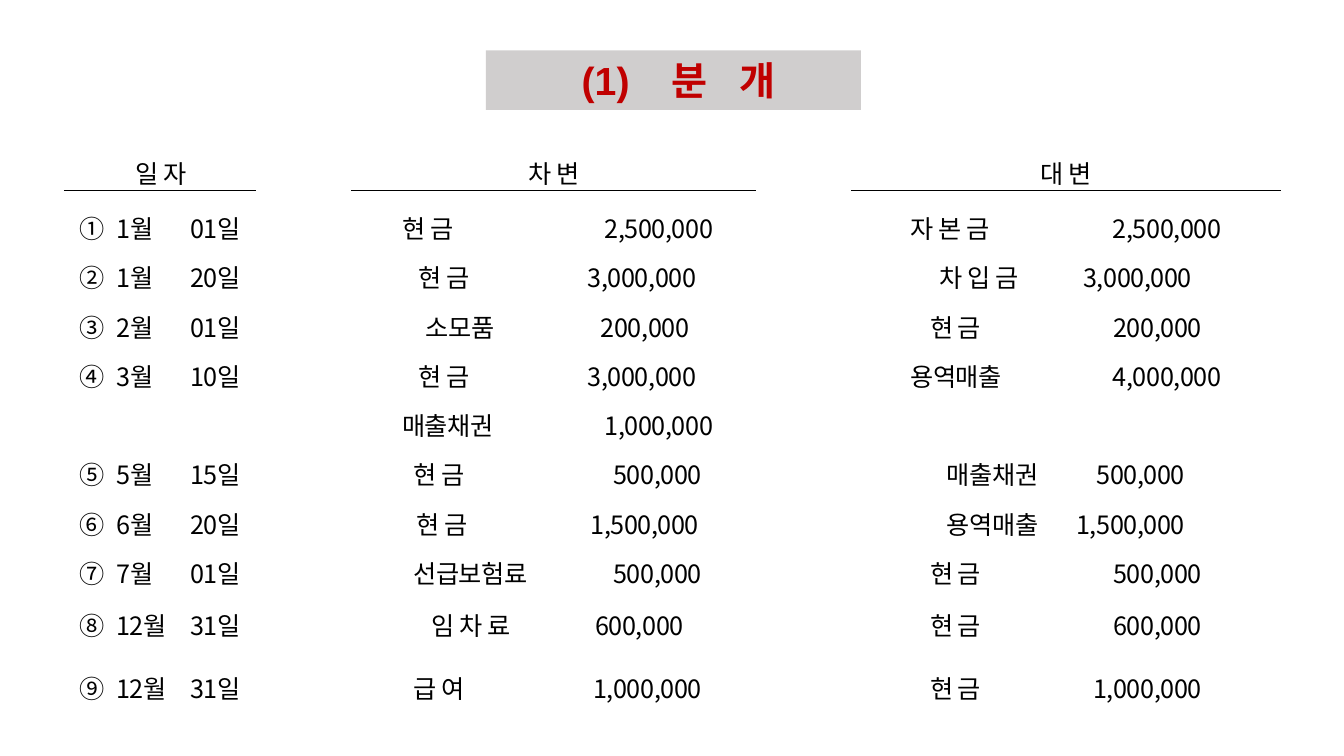
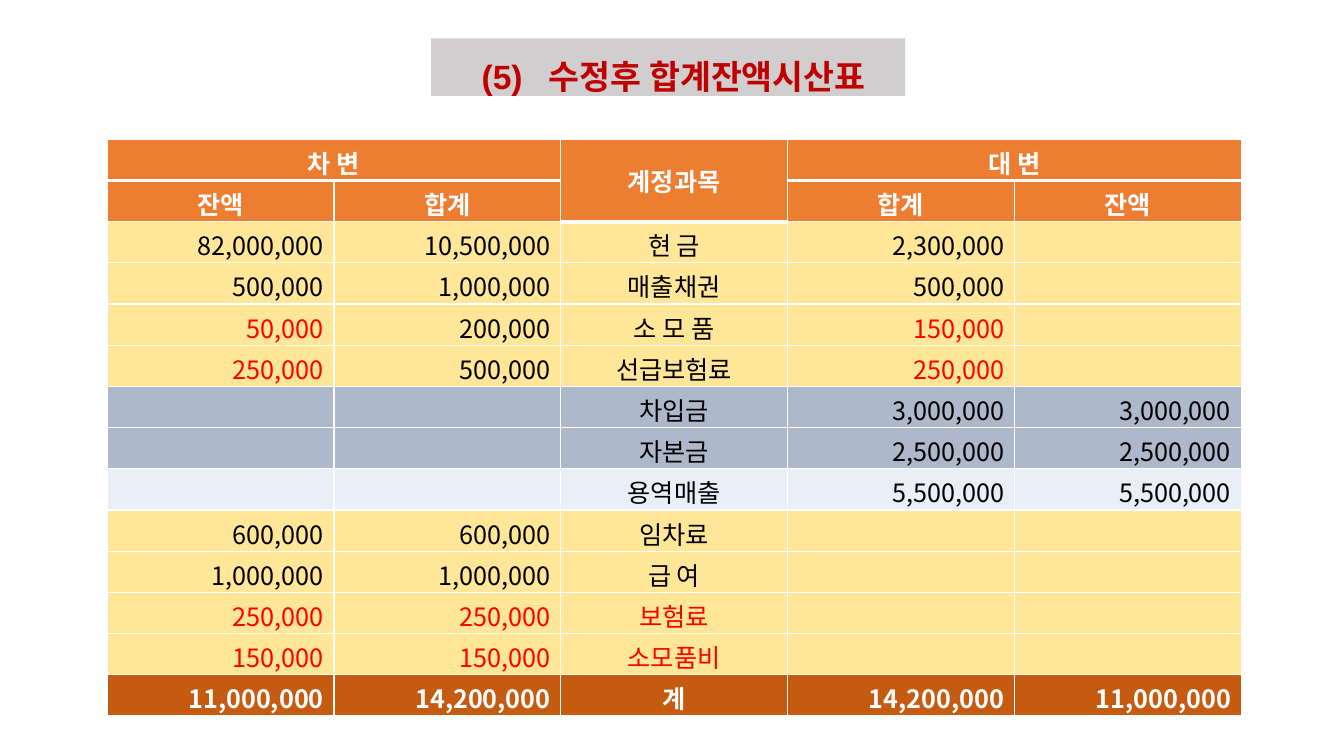
from lxml.etree import SubElement
from pptx import Presentation
from pptx.dml.color import RGBColor
from pptx.enum.text import MSO_ANCHOR, MSO_AUTO_SIZE, PP_ALIGN
from pptx.oxml import parse_xml
from pptx.oxml.ns import nsdecls, qn
from pptx.util import Pt

COLORS = {
    "title": "C00000", "band": "D0CECE", "ink": "000000", "white": "FFFFFF",
    "adjusted": "FF0000", "header": "ED7D31", "debit": "FFE699",
    "credit": "ADB9CA", "revenue": "EAEFF7", "total": "C55A11",
}
HANGUL_FONT = "Noto Sans CJK KR"
TITLE_FORMAT = {"name": "Arial", "bold": True}
HEADING_FORMAT = {"name": "Arial", "size": Pt(18), "bold": False}
ENTRY_FORMAT = {**HEADING_FORMAT, "name": HANGUL_FONT}
STRONG_FORMAT = {**ENTRY_FORMAT, "bold": True}


def write(frame, text, font_format, color, align=PP_ALIGN.LEFT, tabs=(), spacing=0):
    """Fill a text frame with one formatted paragraph; tabs are (points, kind)."""
    paragraph = frame.paragraphs[0]
    paragraph.alignment = align
    if tabs:
        tab_list = SubElement(paragraph._p.get_or_add_pPr(), qn("a:tabLst"))
        for position, kind in tabs:
            SubElement(tab_list, qn("a:tab"), pos=str(Pt(position)), algn=kind)
    run = paragraph.add_run()
    run.text = text
    for attribute, value in font_format.items():
        setattr(run.font, attribute, value)
    run.font.color.rgb = RGBColor.from_string(COLORS[color])
    properties = run._r.get_or_add_rPr()
    SubElement(properties, qn("a:ea"), typeface=HANGUL_FONT)
    if spacing:
        properties.set("spc", str(spacing))


def add_borders(cell, sides, color, widths):
    """Draw cell borders; sides must come in the order L, R, T, B."""
    properties = cell._tc.get_or_add_tcPr()
    for index, (side, width) in enumerate(zip(sides, widths)):
        properties.insert(index, parse_xml(
            f'<a:ln{side} {nsdecls("a")} w="{Pt(width)}"><a:solidFill>'
            f'<a:srgbClr val="{COLORS[color]}"/></a:solidFill></a:ln{side}>'))


prs = Presentation()
prs.slide_width, prs.slide_height = Pt(960), Pt(540)

# Titles on grey bands: text, box, text inset, tab stops, size, anchor
titles = [
    ("(1)\t분\t개", (347, 36, 268, 42.5), 68.5, (64, 113), 28, MSO_ANCHOR.MIDDLE),
    ("(5)\t수정후 합계잔액시산표", (308, 27.5, 338.5, 41), 36, (48,), 24, MSO_ANCHOR.BOTTOM),
]
slides = []
for text, box, inset, stops, size, anchor in titles:
    slide = prs.slides.add_slide(prs.slide_layouts[5])
    title = slide.shapes.title
    title.left, title.top, title.width, title.height = map(Pt, box)
    title.fill.solid()
    title.fill.fore_color.rgb = RGBColor.from_string(COLORS["band"])
    frame_format = {
        "auto_size": MSO_AUTO_SIZE.NONE, "word_wrap": True, "vertical_anchor": anchor,
        "margin_left": Pt(inset), "margin_right": 0, "margin_top": 0, "margin_bottom": 0,
    }
    for attribute, value in frame_format.items():
        setattr(title.text_frame, attribute, value)
    write(title.text_frame, text, {**TITLE_FORMAT, "size": Pt(size)}, "title",
          tabs=[(stop, "l") for stop in stops])
    slides.append(slide)
journal_slide, balance_slide = slides

# Journal: date, then (account, amount, side inset) for debit and credit
journal = [
    ("①\t1월\t01일", ("현 금", "2,500,000", 36), ("자 본 금", "2,500,000", 42)),
    ("②\t1월\t20일", ("현 금", "3,000,000", 48), ("차 입 금", "3,000,000", 63)),
    ("③\t2월\t01일", ("소모품", "200,000", 53), ("현 금", "200,000", 56)),
    ("④\t3월\t10일", ("현 금", "3,000,000", 48), ("용역매출", "4,000,000", 42)),
    (None, ("매출채권", "1,000,000", 36), None),
    ("⑤\t5월\t15일", ("현 금", "500,000", 44), ("매출채권", "500,000", 68)),
    ("⑥\t6월\t20일", ("현 금", "1,500,000", 46), ("용역매출", "1,500,000", 68)),
    ("⑦\t7월\t01일", ("선급보험료", "500,000", 44), ("현 금", "500,000", 56)),
    ("⑧\t12월\t31일", ("임 차 료", "600,000", 57), ("현 금", "600,000", 56)),
    ("⑨\t12월\t31일", ("급 여", "1,000,000", 44), ("현 금", "1,000,000", 56)),
]
journal_widths = [137.5, 67.7, 289.4, 67.7, 306]
journal_heights = [35.2, 39.6] + [35.2] * 7 + [37.2, 45]
journal_table = journal_slide.shapes.add_table(
    len(journal_heights), len(journal_widths), Pt(46.1), Pt(100.8),
    Pt(sum(journal_widths)), Pt(sum(journal_heights))).table
journal_table.first_row = journal_table.horz_banding = False
for column, width in zip(journal_table.columns, journal_widths):
    column.width = Pt(width)
for row, height in zip(journal_table.rows, journal_heights):
    row.height = Pt(height)
for cell in journal_table.iter_cells():
    cell.fill.background()
    cell.margin_top = cell.margin_bottom = 0
    cell.vertical_anchor = MSO_ANCHOR.BOTTOM

# Journal headings, each underlined
for column, heading in zip((0, 2, 4), ("일 자", "차 변", "대 변")):
    heading_cell = journal_table.cell(0, column)
    write(heading_cell.text_frame, heading, HEADING_FORMAT, "ink", PP_ALIGN.CENTER, spacing=-30)
    add_borders(heading_cell, "B", "ink", [0.28])
    add_borders(journal_table.cell(1, column), "T", "ink", [0.28])

# Journal entries: the amount ends as far from the right as the account starts
for row, (date, debit, credit) in enumerate(journal, start=1):
    if date:
        date_cell = journal_table.cell(row, 0)
        date_cell.margin_left, date_cell.margin_right = Pt(11), 0
        write(date_cell.text_frame, date, ENTRY_FORMAT, "ink",
              tabs=[(26, "l"), (115, "r")], spacing=-30)
    for column, span, entry in ((2, 294, debit), (4, 306, credit)):
        if entry:
            account, amount, inset = entry
            entry_cell = journal_table.cell(row, column)
            entry_cell.margin_left, entry_cell.margin_right = Pt(inset), 0
            write(entry_cell.text_frame, f"{account}\t{amount}", ENTRY_FORMAT, "ink",
                  tabs=[(span - 2 * inset, "r")], spacing=-30)

# Trial balance: row colour, adjusted (red) columns, cells
balance = [
    ("header", (), ("차 변", "", "계정과목", "대 변", "")),
    ("header", (), ("잔액", "합계", "", "합계", "잔액")),
    ("debit", (), ("82,000,000", "10,500,000", "현 금", "2,300,000", "")),
    ("debit", (), ("500,000", "1,000,000", "매출채권", "500,000", "")),
    ("debit", (0, 3), ("50,000", "200,000", "소 모 품", "150,000", "")),
    ("debit", (0, 3), ("250,000", "500,000", "선급보험료", "250,000", "")),
    ("credit", (), ("", "", "차입금", "3,000,000", "3,000,000")),
    ("credit", (), ("", "", "자본금", "2,500,000", "2,500,000")),
    ("revenue", (), ("", "", "용역매출", "5,500,000", "5,500,000")),
    ("debit", (), ("600,000", "600,000", "임차료", "", "")),
    ("debit", (), ("1,000,000", "1,000,000", "급 여", "", "")),
    ("debit", (0, 1, 2), ("250,000", "250,000", "보험료", "", "")),
    ("debit", (0, 1, 2), ("150,000", "150,000", "소모품비", "", "")),
    ("total", (), ("11,000,000", "14,200,000", "계", "14,200,000", "11,000,000")),
]
balance_table = balance_slide.shapes.add_table(
    len(balance), 5, Pt(76.5), Pt(99.5), Pt(810), Pt(29.45 * len(balance))).table
balance_table.horz_banding = False
for column in balance_table.columns:
    column.width = Pt(162)
for row, (band, adjusted, texts) in enumerate(balance):
    balance_table.rows[row].height = Pt(29.45)
    strong = band in ("header", "total")
    for column, text in enumerate(texts):
        cell = balance_table.cell(row, column)
        cell.fill.solid()
        cell.fill.fore_color.rgb = RGBColor.from_string(COLORS[band])
        cell.margin_top = cell.margin_bottom = 0
        cell.vertical_anchor = MSO_ANCHOR.BOTTOM
        under_heading = row == 0 or (row == 1 and column == 2)
        add_borders(cell, "LRTB", "white", [1, 1, 1, 3 if under_heading else 1])
        if text:
            centred = band == "header" or column == 2
            color = "white" if strong else "adjusted" if column in adjusted else "ink"
            write(cell.text_frame, text, STRONG_FORMAT if strong else ENTRY_FORMAT, color,
                  PP_ALIGN.CENTER if centred else PP_ALIGN.RIGHT)

# Merged headings
for first, last in (((0, 0), (0, 1)), ((0, 2), (1, 2)), ((0, 3), (0, 4))):
    balance_table.cell(*first).merge(balance_table.cell(*last))
balance_table.cell(0, 2).vertical_anchor = MSO_ANCHOR.MIDDLE

prs.save("out.pptx")
